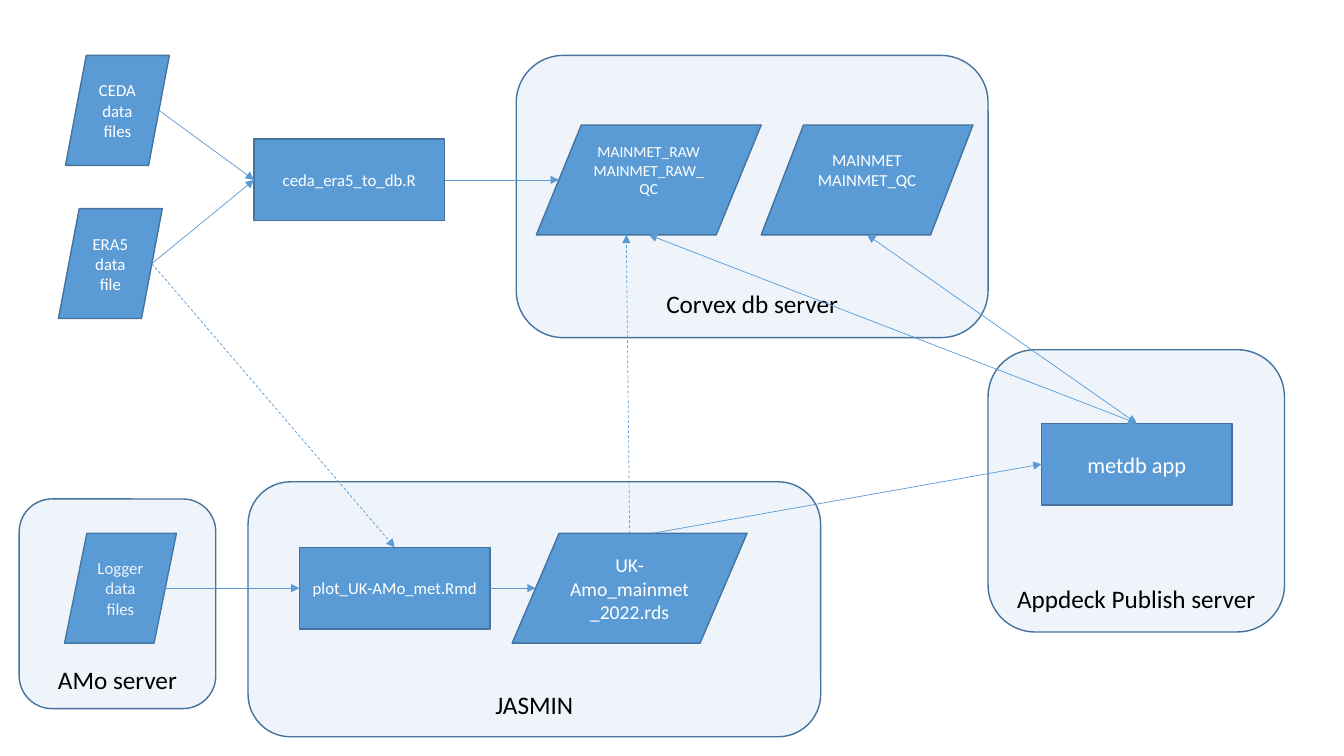
from pptx import Presentation
from pptx.dml.color import RGBColor
from pptx.enum.dml import MSO_LINE
from pptx.enum.shapes import MSO_CONNECTOR, MSO_SHAPE
from pptx.enum.text import MSO_ANCHOR, PP_ALIGN
from pptx.oxml.ns import qn
from pptx.util import Inches, Pt
from lxml.etree import SubElement

BLUE = "5B9BD5"
OUTLINE = "43739E"
WHITE = "FFFFFF"
BLACK = "000000"
NODE_HEIGHT = 1.09
PROCESS_WIDTH, PROCESS_HEIGHT = 1.89, 0.81
RIGHT, LEFT, TOP, BOTTOM = (1, 0.5), (0, 0.5), (0.5, 0), (0.5, 1)
SLANT_RIGHT, SLANT_LEFT = (0.9, 0.5), (0.1, 0.5)
SLANT_TOP, SLANT_BOTTOM = (0.6, 0), (0.4, 1)


def color(value):
    return RGBColor.from_string(value)


def add_block(slide, kind, box, lines, size, text_color=WHITE, anchor=MSO_ANCHOR.MIDDLE):
    shape = slide.shapes.add_shape(kind, *(Inches(length) for length in box))
    shape.shadow.inherit = False
    shape.fill.solid()
    shape.fill.fore_color.rgb = color(BLUE)
    shape.line.color.rgb = color(OUTLINE)
    shape.line.width = Pt(1)
    frame = shape.text_frame
    frame.word_wrap = True
    frame.vertical_anchor = anchor
    for index, line in enumerate(lines):
        paragraph = frame.paragraphs[0] if index == 0 else frame.add_paragraph()
        paragraph.text = line
        paragraph.alignment = PP_ALIGN.CENTER
        paragraph.font.name = "Calibri"
        paragraph.font.size = Pt(size)
        paragraph.font.color.rgb = color(text_color)
    return shape


def add_data(slide, left, top, width, lines, size=12):
    box = (left, top, width, NODE_HEIGHT)
    return add_block(slide, MSO_SHAPE.FLOWCHART_DATA, box, lines, size)


def add_process(slide, left, top, label, size=12):
    box = (left, top, PROCESS_WIDTH, PROCESS_HEIGHT)
    return add_block(slide, MSO_SHAPE.FLOWCHART_PROCESS, box, [label], size)


def add_server(slide, box, label):
    shape = add_block(slide, MSO_SHAPE.ROUNDED_RECTANGLE, box, [label], 18, BLACK, MSO_ANCHOR.BOTTOM)
    fill_color = shape.fill._xPr.find(qn("a:solidFill"))[0]
    SubElement(fill_color, qn("a:alpha"), val="10000")


def point_on(shape, site):
    across, down = site
    return int(shape.left + across * shape.width), int(shape.top + down * shape.height)


def add_arrow(slide, start, start_site, end, end_site, dashed=False, both_ends=False):
    connector = slide.shapes.add_connector(
        MSO_CONNECTOR.STRAIGHT, *point_on(start, start_site), *point_on(end, end_site))
    connector.line.color.rgb = color(BLUE)
    connector.line.width = Pt(0.5)
    if dashed:
        connector.line.dash_style = MSO_LINE.DASH
    line = connector.line._get_or_add_ln()
    if both_ends:
        SubElement(line, qn("a:headEnd"), type="triangle")
    SubElement(line, qn("a:tailEnd"), type="triangle")
    SubElement(connector._element.spPr, qn("a:effectLst"))


def add_import_region(slide, left, top):
    ceda = add_data(slide, left + 0.07, top, 1.03, ["CEDA", "data", "files"])
    era5 = add_data(slide, left, top + 1.52, 1.03, ["ERA5", "data", "file"])
    loader = add_process(slide, left + 1.94, top + 0.83, "ceda_era5_to_db.R")
    return ceda, era5, loader


def add_database_server(slide, left, top, width, height):
    add_server(slide, (left, top, width, height), "Corvex db server")
    raw = add_data(slide, left + 0.2, top + 0.69, 2.23, ["MAINMET_RAW", "MAINMET_RAW_QC"], 11)
    checked = add_data(slide, left + 2.43, top + 0.69, 2.1, ["MAINMET", "MAINMET_QC"])
    for table in (raw, checked):
        table.text_frame.margin_bottom = Inches(0.25)
    return raw, checked


def add_logger_server(slide, left, top, width, height):
    logger = add_data(slide, left + 0.45, top + 0.34, 1.11, ["Logger", "data", "files"])
    add_server(slide, (left, top, width, height), "AMo server")
    return logger


def add_analysis_server(slide, left, top, width, height):
    add_server(slide, (left, top, width, height), "JASMIN")
    plot = add_process(slide, left + 0.51, top + 0.65, "plot_UK-AMo_met.Rmd")
    output = add_data(slide, left + 2.62, top + 0.51, 2.33, ["UK-Amo_mainmet_2022.rds"], 14)
    return plot, output


def add_app_server(slide, left, top, width, height):
    add_server(slide, (left, top, width, height), "Appdeck Publish server")
    return add_process(slide, left + 0.53, top + 0.73, "metdb app", 16)


def add_data_flow_slide(presentation):
    slide = presentation.slides.add_slide(presentation.slide_layouts[6])
    raw, checked = add_database_server(slide, 5.12, 0.55, 4.68, 2.8)
    plot, output = add_analysis_server(slide, 2.46, 4.78, 5.68, 2.53)
    app = add_app_server(slide, 9.8, 3.47, 2.94, 2.8)
    logger = add_logger_server(slide, 0.19, 4.95, 1.95, 2.08)
    ceda, era5, loader = add_import_region(slide, 0.58, 0.55)

    add_arrow(slide, ceda, SLANT_RIGHT, loader, LEFT)
    add_arrow(slide, era5, SLANT_RIGHT, loader, LEFT)
    add_arrow(slide, loader, RIGHT, raw, SLANT_LEFT)
    add_arrow(slide, era5, SLANT_RIGHT, plot, TOP, dashed=True)
    add_arrow(slide, logger, SLANT_RIGHT, plot, LEFT)
    add_arrow(slide, plot, RIGHT, output, SLANT_LEFT)
    add_arrow(slide, output, TOP, raw, SLANT_BOTTOM, dashed=True)
    add_arrow(slide, output, SLANT_TOP, app, LEFT)
    add_arrow(slide, raw, BOTTOM, app, TOP, both_ends=True)
    add_arrow(slide, app, TOP, checked, BOTTOM, both_ends=True)


def main():
    presentation = Presentation()
    presentation.slide_width = Inches(13.33)
    presentation.slide_height = Inches(7.5)
    add_data_flow_slide(presentation)
    presentation.save("out.pptx")


if __name__ == "__main__":
    main()
